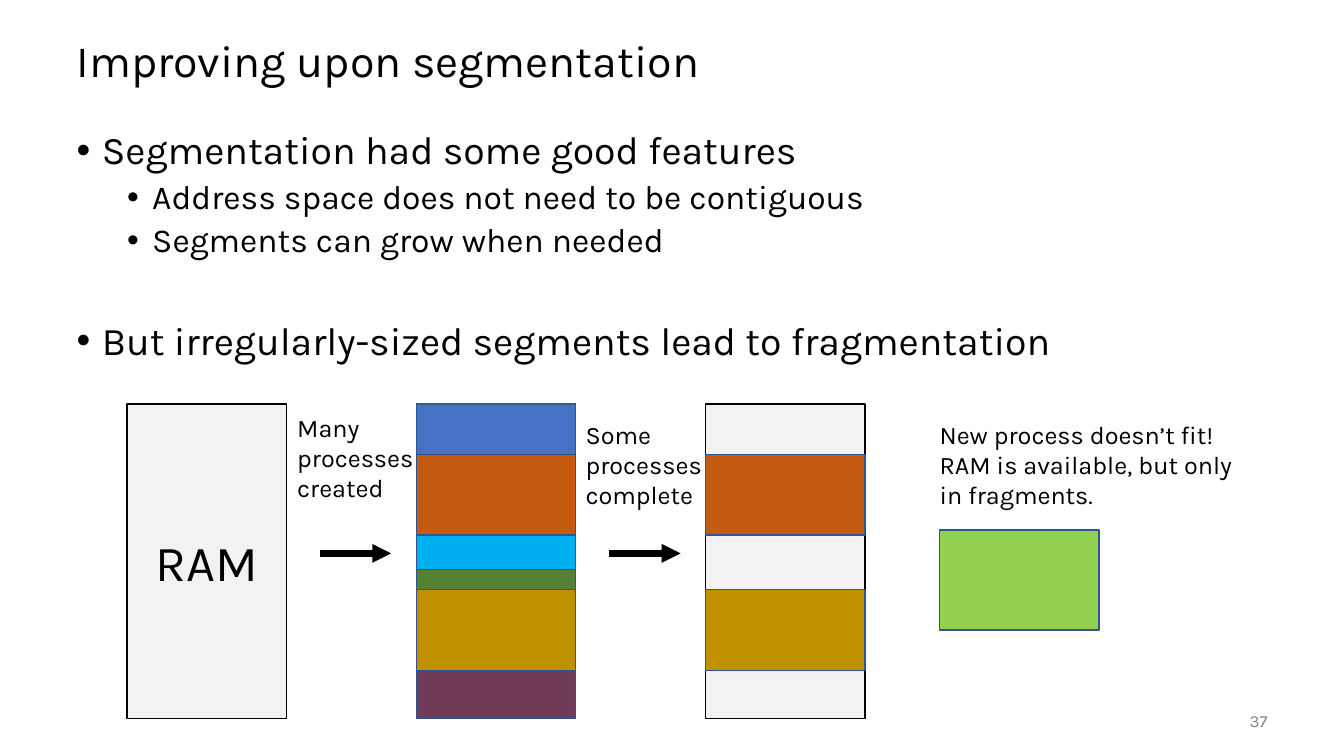
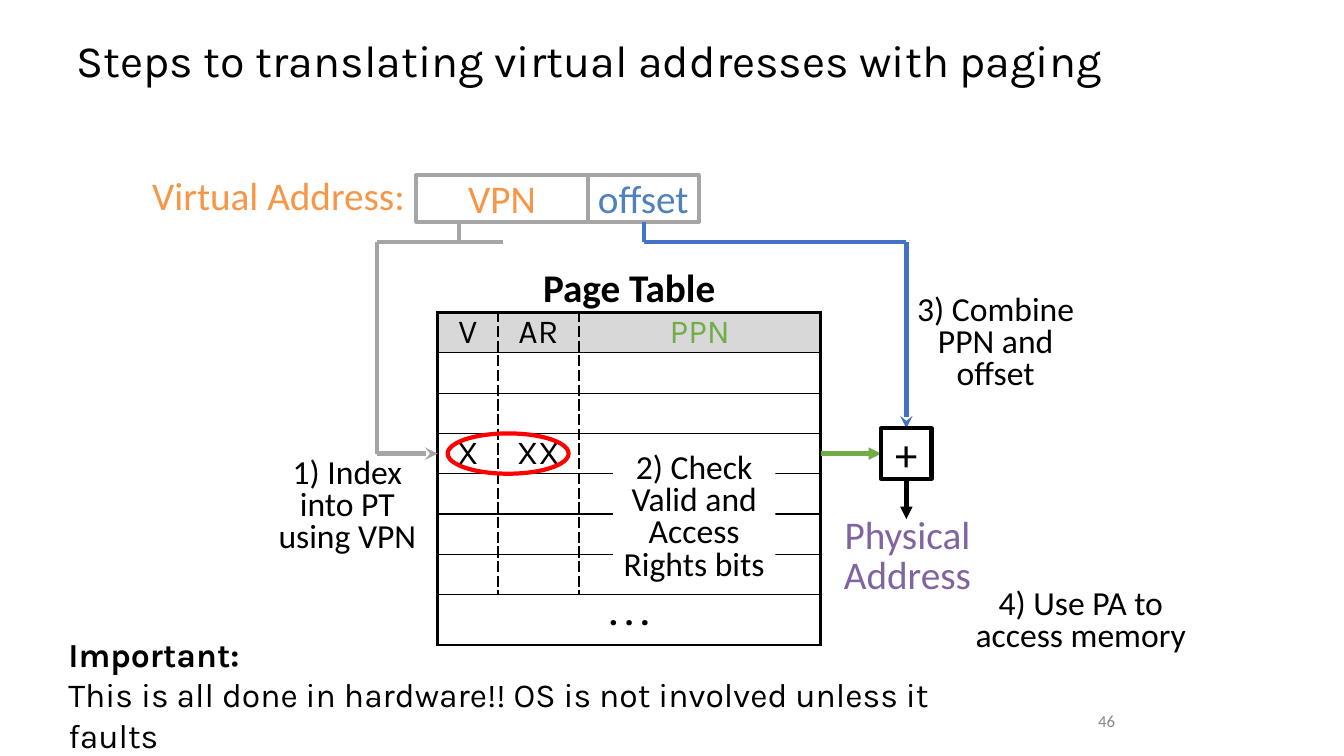
import pptx
import pptx.util
import pptx.dml.color
import pptx.enum.shapes
import pptx.enum.text
import pptx.oxml
import pptx.oxml.ns
from lxml import etree

Inches, Pt = pptx.util.Inches, pptx.util.Pt
SHAPE = pptx.enum.shapes.MSO_SHAPE
ANCHOR = pptx.enum.text.MSO_ANCHOR
ALIGN = pptx.enum.text.PP_ALIGN
qn = pptx.oxml.ns.qn

# ---- Shared style ----
COLORS = {
    "black": "000000", "white": "FFFFFF", "page": "808080", "ram": "F2F2F2",
    "edge": "325491", "blue": "4472C4", "rust": "C55A11", "cyan": "00B0F0",
    "green": "548235", "gold": "BF9000", "plum": "703B56", "lime": "92D050",
    "gray": "A5A5A5", "header": "D8D8D8", "ppn": "70AD47", "vpn": "F79646",
    "offset": "4F81BD", "physical": "8064A2", "red": "FF0000", "page_alt": "888888",
}
KARLA, CALIBRI = "Karla", "Calibri"
WIDE = (0.1, 0.05, 0.1, 0.05)
SNUG = (0.07, 0.03, 0.07, 0.03)
FIELD = (0.07, 0.1, 0.07, 0)
NONE = (0, 0, 0, 0)

# ---- Slide 1 content ----
BULLETS = [  # level, text, space before
    (0, "Segmentation had some good features", 0),
    (1, "Address space does not need to be contiguous", 5),
    (1, "Segments can grow when needed", 5),
    (0, "But irregularly-sized segments lead to fragmentation", 44),
]
BULLET_STYLE = [(0.25, 28), (0.75, 24)]  # text indent, size
SEGMENTS = [("blue", 0.5), ("rust", 0.8), ("cyan", 0.34),
            ("green", 0.2), ("gold", 0.8), ("plum", 0.48)]
MEMORY = [(), ("blue", "rust", "cyan", "green", "gold", "plum"), ("rust", "gold")]
RAM_LEFT, RAM_TOP, RAM_WIDTH, RAM_PITCH = 1.26, 4.01, 1.58, 2.87
RAM_HEIGHT = sum(height for _, height in SEGMENTS)
CAPTIONS = [
    ((2.85, 4.04, 1.43, 1.01), ["Many processes created"]),
    ((5.71, 4.11, 1.58, 1.01), ["Some processes complete"]),
    ((9.22, 4.11, 3.15, 1.01), ["New process doesn’t fit!",
                                "RAM is available, but only in fragments."]),
]

# ---- Slide 2 content ----
TABLE_LEFT, TABLE_TOP = 4.34, 3.1
TABLE_COLS = [0.6, 0.8, 2.4]
TABLE_ROWS = [0.4] * 7 + [0.5]
TABLE_TEXT = {(0, 0): "V", (0, 1): "AR", (0, 2): "PPN",
              (3, 0): "X", (3, 1): "XX", (7, 0): ". . ."}
ADDRESS_FIELDS = [("VPN", 4.13, 1.7, "vpn"), ("offset", 5.83, 1.1, "offset")]
LABELS = [  # box, lines, colour, bold, alignment
    ((1.44, 1.74, 2.67, 0.46), ["Virtual Address:"], "vpn", False, ALIGN.LEFT),
    ((4.34, 2.65, 3.8, 0.46), ["Page Table"], "black", True, ALIGN.CENTER),
    ((8.29, 5.1, 1.42, 0.86), ["Physical", "Address"], "physical", False, ALIGN.CENTER),
]
STEPS = [
    ((2.64, 4.5, 1.61, 1.08), "1) Index into PT using VPN"),
    ((8.99, 2.88, 1.77, 1.08), "3) Combine PPN and offset"),
    ((9.47, 5.8, 2.5, 1.07), "4) Use PA to access memory"),
]
WIRES = [  # start, end, colour, arrowhead
    ((3.74, 4.5), (4.34, 4.5), "gray", "stealth"),
    ((3.74, 4.5), (3.74, 2.4), "gray", None),
    ((3.74, 2.4), (4.99, 2.4), "gray", None),
    ((4.55, 2.4), (4.55, 2.2), "gray", None),
    ((8.14, 4.5), (8.74, 4.5), "ppn", "triangle"),
    ((8.99, 4.75), (8.99, 5.15), "black", "triangle"),
    ((8.99, 2.4), (8.99, 4.25), "blue", "stealth"),
    ((6.39, 2.4), (8.99, 2.4), "blue", None),
    ((6.39, 2.4), (6.39, 2.2), "blue", None),
]


# ---- Helpers ----
def rgb(name):
    return pptx.dml.color.RGBColor.from_string(COLORS[name])


def add_run(p, text, size, color="black", font=KARLA, bold=False):
    r = p.add_run()
    r.text = text
    r.font.size, r.font.name, r.font.bold = Pt(size), font, bold
    r.font.color.rgb = rgb(color)


def write(tf, lines, size, color="black", font=KARLA, bold=False,
          align=ALIGN.LEFT, spacing=1.0, insets=WIDE, anchor=ANCHOR.TOP):
    tf.word_wrap = True
    tf.auto_size = pptx.enum.text.MSO_AUTO_SIZE.NONE
    tf.vertical_anchor = anchor
    tf.margin_left, tf.margin_top, tf.margin_right, tf.margin_bottom = map(Inches, insets)
    for i, line in enumerate(lines):
        p = tf.paragraphs[0] if i == 0 else tf.add_paragraph()
        p.alignment, p.line_spacing = align, spacing
        add_run(p, line, size, color, font, bold)


def add_text(s, box, lines, size, **style):
    tf = s.shapes.add_textbox(*map(Inches, box)).text_frame
    write(tf, lines, size, **style)
    return tf


def add_box(s, box, fill=None, line=None, width=1, kind=SHAPE.RECTANGLE):
    sp = s.shapes.add_shape(kind, *map(Inches, box))
    sp.shadow.inherit = False
    if fill:
        sp.fill.solid()
        sp.fill.fore_color.rgb = rgb(fill)
    else:
        sp.fill.background()
    if line:
        sp.line.color.rgb = rgb(line)
        sp.line.width = Pt(width)
    else:
        sp.line.fill.background()
    return sp


def add_line(s, start, end, color, width, head=None):
    line = s.shapes.add_connector(pptx.enum.shapes.MSO_CONNECTOR.STRAIGHT,
                                  *map(Inches, start + end))
    line.line.color.rgb = rgb(color)
    line.line.width = Pt(width)
    if head:
        etree.SubElement(line.line._get_or_add_ln(), qn("a:tailEnd"), type=head)
    etree.SubElement(line._element.spPr, qn("a:effectLst"))


def place(holder, box):
    holder.left, holder.top, holder.width, holder.height = map(Inches, box)


def add_slide(prs, layout, title, number, number_box, font, color):
    s = prs.slides.add_slide(prs.slide_layouts[layout])
    place(s.shapes.title, (0.66, 0.25, 12, 0.75))
    write(s.shapes.title.text_frame, [title], 32, spacing=0.9, anchor=ANCHOR.MIDDLE)
    add_text(s, number_box, [number], 12, color=color, font=font,
             align=ALIGN.RIGHT, anchor=ANCHOR.MIDDLE)
    return s


def add_border(cell, side, width, dash="solid"):
    ln = etree.SubElement(cell._tc.get_or_add_tcPr(), qn("a:ln" + side), w=str(Pt(width)))
    fill = etree.SubElement(ln, qn("a:solidFill"))
    etree.SubElement(fill, qn("a:srgbClr"), val=COLORS["black"])
    etree.SubElement(ln, qn("a:prstDash"), val=dash)


# ---- Slide 1 ----
def add_bullets(s):
    body = s.placeholders[1]
    place(body, (0.66, 1.25, 12, 5.5))
    tf = body.text_frame
    tf.auto_size = pptx.enum.text.MSO_AUTO_SIZE.NONE
    for i, (level, text, before) in enumerate(BULLETS):
        p = tf.paragraphs[0] if i == 0 else tf.add_paragraph()
        indent, size = BULLET_STYLE[level]
        pPr = p._p.get_or_add_pPr()
        pPr.set("marL", str(Inches(indent)))
        pPr.set("indent", str(Inches(-0.25)))
        etree.SubElement(pPr, qn("a:buFont"), typeface="Arial")
        etree.SubElement(pPr, qn("a:buChar"), char="•")
        p.level, p.line_spacing, p.space_before = level, 0.9, Pt(before)
        add_run(p, text, size)


def build_segmentation(prs):
    s = add_slide(prs, 1, "Improving upon segmentation", "37",
                  (11.67, 6.95, 1, 0.4), KARLA, "page")
    add_bullets(s)

    # Memory before, during and after the processes
    for i, used in enumerate(MEMORY):
        left, top = RAM_LEFT + i * RAM_PITCH, RAM_TOP
        ram = add_box(s, (left, top, RAM_WIDTH, RAM_HEIGHT), "ram", "black")
        if not used:
            write(ram.text_frame, ["RAM"], 36, align=ALIGN.CENTER, anchor=ANCHOR.MIDDLE)
        for j, (color, height) in enumerate(SEGMENTS):
            if color in used:
                add_box(s, (left, top, RAM_WIDTH, height), color, "edge")
            elif used and j < len(SEGMENTS) - 1:
                pass
            top += height
        if i < len(MEMORY) - 1:
            start = left + RAM_WIDTH + 0.33
            add_line(s, (start, 5.49), (start + 0.71, 5.49), "black", 4.5, "triangle")

    # Process that finds no room
    add_box(s, (9.32, 5.26, RAM_WIDTH, 0.99), "lime", "edge")
    for box, lines in CAPTIONS:
        add_text(s, box, lines, 18)


# ---- Slide 2 ----
def add_page_table(s):
    rows, cols = len(TABLE_ROWS), len(TABLE_COLS)
    frame = s.shapes.add_table(rows, cols, *map(Inches, (
        TABLE_LEFT, TABLE_TOP, sum(TABLE_COLS), sum(TABLE_ROWS))))
    table = frame.table
    table.first_row = table.horz_banding = False
    for col, width in zip(table.columns, TABLE_COLS):
        col.width = Inches(width)
    for row, height in zip(table.rows, TABLE_ROWS):
        row.height = Inches(height)
    last = rows - 1
    table.cell(last, 0).merge(table.cell(last, cols - 1))
    for r in range(rows):
        for c in range(cols):
            cell = table.cell(r, c)
            cell.margin_left = cell.margin_right = cell.margin_top = cell.margin_bottom = 0
            # Heavy frame, thin rows, dashed columns
            if c == 0:
                add_border(cell, "L", 2.25)
            elif r < last:
                add_border(cell, "L", 1.5, "lgDash")
            if c == cols - 1 or r == last:
                add_border(cell, "R", 2.25)
            else:
                add_border(cell, "R", 1.5, "lgDash")
            add_border(cell, "T", 2.25 if r == 0 else 1)
            add_border(cell, "B", 2.25 if r == last else 1)
            if r == 0:
                cell.fill.solid()
                cell.fill.fore_color.rgb = rgb("header")
            else:
                cell.fill.background()
            text = TABLE_TEXT.get((r, c))
            if text:
                p = cell.text_frame.paragraphs[0]
                p.alignment = ALIGN.CENTER
                add_run(p, text, 24, "ppn" if text == "PPN" else "black", bold=r == last)


def build_paging(prs):
    s = add_slide(prs, 5, "Steps to translating virtual addresses with paging", "46",
                  (8.83, 6.95, 2.33, 0.4), CALIBRI, "page_alt")
    add_page_table(s)
    centred = dict(font=CALIBRI, align=ALIGN.CENTER)

    # Virtual address and labels
    for text, left, width, color in ADDRESS_FIELDS:
        sp = add_box(s, (left, 1.74, width, 0.46), line="gray", width=3)
        write(sp.text_frame, [text], 28, color, spacing=0.75, insets=FIELD, **centred)
    for box, lines, color, bold, align in LABELS:
        add_text(s, box, lines, 28, color=color, font=CALIBRI, bold=bold,
                 align=align, spacing=0.85, insets=SNUG)

    # Wires, adder and the checked bits
    for start, end, color, head in WIRES:
        add_line(s, start, end, color, 3, head)
    adder = add_box(s, (8.74, 4.25, 0.5, 0.5), line="black", width=3)
    write(adder.text_frame, ["+"], 32, insets=NONE, anchor=ANCHOR.MIDDLE, **centred)
    check = add_box(s, (6.08, 4.5, 1.61, 1.3), "white")
    write(check.text_frame, ["2) Check Valid and Access Rights bits"], 24,
          spacing=0.8, insets=NONE, **centred)
    add_box(s, (4.44, 4.3, 1.2, 0.4), line="red", width=3, kind=SHAPE.OVAL)

    # Remaining steps and closing remark
    for box, text in STEPS:
        add_text(s, box, [text], 24, spacing=0.8, **centred)
    remark = add_text(s, (0.58, 6.24, 9.6, 0.91), ["Important:"], 24, bold=True)
    add_run(remark.add_paragraph(),
            "This is all done in hardware!! OS is not involved unless it faults", 24)


def main():
    prs = pptx.Presentation()
    prs.slide_width, prs.slide_height = Inches(13.33), Inches(7.5)
    build_segmentation(prs)
    build_paging(prs)
    prs.save("out.pptx")


if __name__ == "__main__":
    main()
